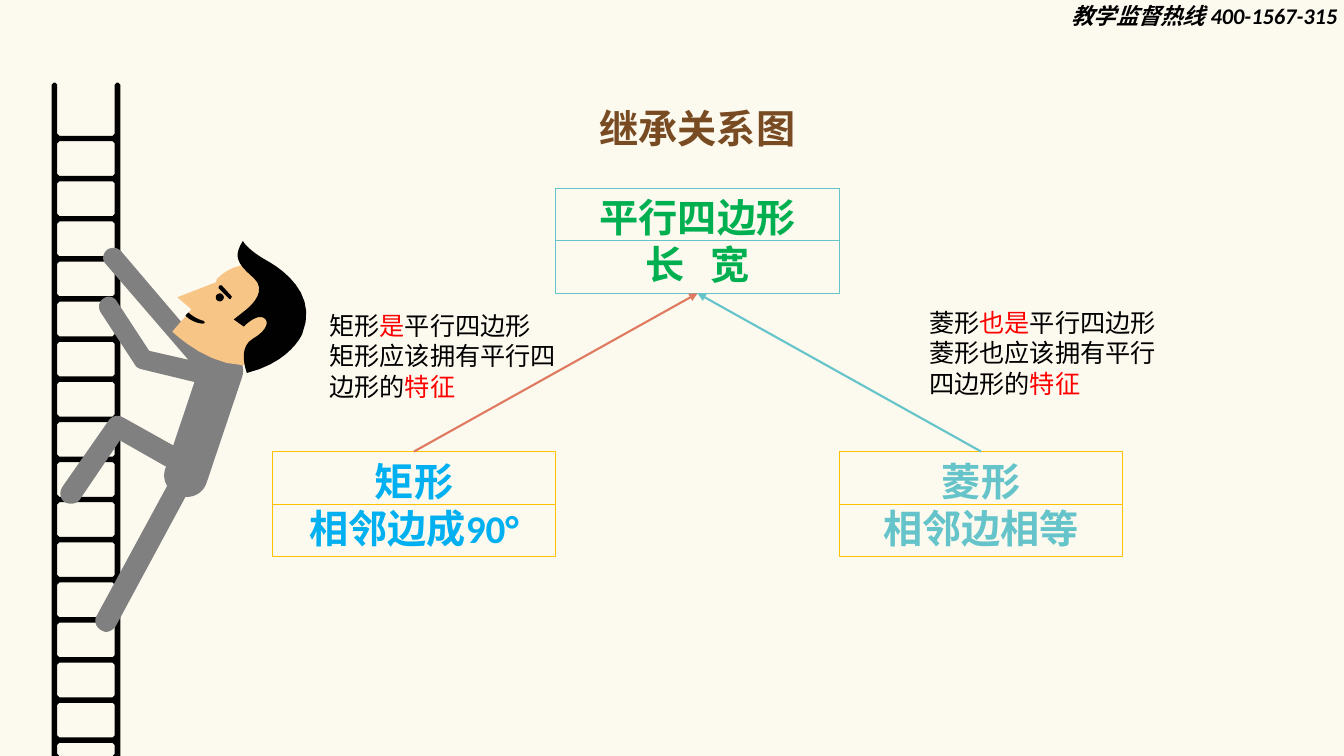
"""Builds the slide on the inheritance relation of quadrilaterals, with a ladder climber."""
from lxml import etree
from pptx import Presentation
from pptx.dml.color import RGBColor
from pptx.enum.shapes import MSO_CONNECTOR as CONN, MSO_SHAPE as SHAPE
from pptx.enum.text import MSO_ANCHOR as ANCHOR, PP_ALIGN as ALIGN
from pptx.oxml.ns import qn
from pptx.util import Pt

CREAM = RGBColor(0xFC, 0xF9, 0xEF)
BLACK = RGBColor(0, 0, 0)
INK = RGBColor(1, 1, 1)
GREY = RGBColor(0x80, 0x80, 0x80)
SKIN = RGBColor(0xF7, 0xC5, 0x86)
BROWN = RGBColor(0x78, 0x4B, 0x23)
GREEN = RGBColor(0, 0xB0, 0x50)
BLUE = RGBColor(0, 0xB0, 0xF0)
TEAL = RGBColor(0x65, 0xC4, 0xCA)
AMBER = RGBColor(0xFF, 0xC0, 0)
CORAL = RGBColor(0xDF, 0x7A, 0x60)
RED = RGBColor(0xFF, 0, 0)
LATIN, CJK = "Calibri", "Noto Sans CJK SC"

WIDTH, HEIGHT = 960, 540
HOTLINE = "教学监督热线 400-1567-315"
TITLE = "继承关系图"
WORD_GAP = 12.6

BOX_W, BOX_H = 202.5, 75
PARENT_X, PARENT_Y, CHILD_Y = 397, 134.5, 322.5
PARENT = ([["平行四边形"], ["长", " ", "宽"]], GREEN, TEAL)
CHILDREN = [
    (-1, [["矩形"], ["相邻边成90°"]], BLUE, CORAL),
    (1, [["菱形"], ["相邻边相等"]], TEAL, TEAL),
]
NOTES = [
    (228.2, 218.2, [["矩形", "是", "平行四边形"], ["矩形应该拥有平行四边形的", "特征"]]),
    (656.6, 216, [["菱形", "也是", "平行四边形"], ["菱形也应该拥有平行四边形的", "特征"]]),
]

LADDER_L, LADDER_R, LADDER_TOP, RAIL = 36.9, 86, 59, 4
FIRST_RUNG, RUNG, RUNG_PITCH, CORNER = 97, 3.9, 28.65, 1.5

BODY = [
    (162.7, 249.8), (157.7, 248.4, 152.6, 249.8, 148.3, 252), (86.4, 179.3),
    (83.5, 176.4, 79.2, 176.4, 76.3, 178.6), (73.4, 181.4, 72.7, 185.8, 75.6, 188.6),
    (134.6, 257), (106.6, 250.6), (83.5, 215.3), (81.4, 211.7, 77, 211, 74.2, 213.1),
    (70.6, 215.3, 69.8, 219.6, 72, 223.2), (96.5, 260.6),
    (97.2, 262.1, 98.6, 262.8, 100.1, 263.5), (139, 272.9), (123.8, 318.2),
    (87.8, 298.1), (84.2, 295.9, 79.9, 297.4, 77.8, 300.2), (44.6, 347.8),
    (42.5, 351.4, 42.5, 355.7, 46.1, 358.6), (49.7, 360.7, 54.7, 360, 56.9, 357.1),
    (85.7, 314.6), (118.8, 333.4), (118.1, 334.8),
    (116.6, 339.1, 117.4, 344.2, 119.5, 347), (69.1, 439.9),
    (67, 443.5, 68.4, 447.8, 72, 450), (73.4, 450.7, 74.9, 451.4, 75.6, 451.4),
    (78.5, 451.4, 81.4, 449.3, 82.8, 447.1), (132.5, 355), (133.2, 355),
    (139.7, 355, 145.4, 351.4, 147.6, 344.9), (172.8, 270),
    (175.7, 261.4, 171.4, 252.7, 162.7, 249.8),
]
FACE = [
    (152.6, 202.3), (153.4, 202.3), (154.1, 201.6, 154.8, 200.9, 154.8, 199.4),
    (167, 186.5, 187.9, 185, 200.9, 197.3), (217.4, 212.4, 218.2, 231.8, 205.9, 245.5),
    (171.4, 284.4, 123.1, 236.9, 123.1, 236.9), (136.8, 221), (126.7, 212.4),
]
HAIR = [
    (174.2, 222.5), (174.2, 222.5, 193, 209.5, 181.4, 198.7),
    (169.9, 188.6, 166.3, 183.6, 173.5, 172.1), (173.5, 172.1, 176.4, 177.8, 188.6, 185),
    (200.9, 191.5, 227.5, 209.5, 216, 238.3), (216, 238.3, 208.1, 258.5, 176.4, 266.4),
    (176.4, 266.4, 169.2, 248.4, 180.7, 241.9), (190.8, 236.2, 193, 229, 187.9, 226.8),
    (182.2, 224.6, 174.2, 233.3, 174.2, 233.3), (167, 228.2),
]
BROW = [
    (157, 203.8), (156.2, 204.5, 156.2, 205.2, 156.2, 205.9), (163.4, 213.1),
    (164.2, 213.8, 164.9, 213.8, 164.9, 213.1), (165.6, 212.4, 165.6, 211.7, 165.6, 211.7),
    (158.4, 203.8),
]
MOUTH = [
    (146.2, 230.4), (146.2, 229.7, 145.4, 229, 144.7, 229),
    (139.7, 227.5, 136.1, 224.6, 134.6, 223.2), (132.5, 225.4), (133.2, 226.1),
    (135.4, 228.2, 139, 230.4, 144, 231.1), (145.4, 231.1, 146.2, 231.1, 146.2, 230.4),
]
CLIMBER = [(BODY, GREY), (FACE, SKIN), (HAIR, INK), (BROW, INK), (MOUTH, INK)]
EYE = (154.1, 209.5, 5.8)


def flatten(outline, steps=10):
    points = [outline[0]]
    for part in outline[1:]:
        if len(part) == 2:
            points.append(part)
            continue
        ctrl = [points[-1], part[:2], part[2:4], part[4:]]
        for t in (i / steps for i in range(1, steps + 1)):
            weights = ((1 - t) ** 3, 3 * t * (1 - t) ** 2, 3 * t * t * (1 - t), t ** 3)
            points.append(tuple(sum(w * c[k] for w, c in zip(weights, ctrl)) for k in (0, 1)))
    return points


def paint(sp, color):
    sp.shadow.inherit = False
    sp.fill.solid()
    sp.fill.fore_color.rgb = color
    sp.line.fill.background()


def add_outline(contours, color):
    emu = [[(Pt(x), Pt(y)) for x, y in contour] for contour in contours]
    builder = shapes.build_freeform(*emu[0][0], scale=1.0)
    builder.add_line_segments(emu[0][1:])
    for hole in emu[1:]:
        builder.move_to(*hole[0])
        builder.add_line_segments(hole[1:])
    paint(builder.convert_to_shape(), color)


def add_ladder():
    inner_l, inner_r, c = LADDER_L + RAIL, LADDER_R - RAIL, CORNER
    contours = [[(LADDER_L, HEIGHT), (LADDER_L, LADDER_TOP + c), (LADDER_L + c, LADDER_TOP),
                 (inner_l - c, LADDER_TOP), (inner_l, LADDER_TOP + c), (inner_l, FIRST_RUNG - c),
                 (inner_l + c, FIRST_RUNG), (inner_r - c, FIRST_RUNG), (inner_r, FIRST_RUNG - c),
                 (inner_r, LADDER_TOP + c), (inner_r + c, LADDER_TOP),
                 (LADDER_R - c, LADDER_TOP), (LADDER_R, LADDER_TOP + c), (LADDER_R, HEIGHT)]]
    top = FIRST_RUNG + RUNG
    while top < HEIGHT:
        low = min(top + RUNG_PITCH - RUNG, HEIGHT)
        contours.append([(inner_l, low - c), (inner_l, top + c), (inner_l + c, top),
                         (inner_r - c, top), (inner_r, top + c), (inner_r, low - c),
                         (inner_r - c, low), (inner_l + c, low)])
        top += RUNG_PITCH
    add_outline(contours, INK)


def write(sp, lines, colors, size, bold=False, italic=False, align=ALIGN.LEFT, font=LATIN):
    tf = sp.text_frame
    tf.word_wrap = True
    for i, line in enumerate(lines):
        p = tf.add_paragraph() if i else tf.paragraphs[0]
        p.alignment = align
        for j, text in enumerate(line):
            r = p.add_run()
            r.text = text
            r.font.size, r.font.bold, r.font.italic = Pt(size), bold, italic
            r.font.color.rgb = colors[j % len(colors)]
            r.font.name = font
            rpr = r.font._element
            etree.SubElement(rpr, qn("a:ea")).set("typeface", CJK)
            if text == " ":
                rpr.set("spc", str(round(WORD_GAP * 100)))
    return tf


def add_text(x, y, w, h, *args, **style):
    return write(shapes.add_textbox(Pt(x), Pt(y), Pt(w), Pt(h)), *args, **style)


def add_line(x1, y1, x2, y2, color, width):
    line = shapes.add_connector(CONN.STRAIGHT, Pt(x1), Pt(y1), Pt(x2), Pt(y2))
    line.line.color.rgb, line.line.width = color, Pt(width)
    etree.SubElement(line._element.spPr, qn("a:effectLst"))
    return line


def add_class(x, y, lines, color, border):
    sp = shapes.add_shape(SHAPE.RECTANGLE, Pt(x), Pt(y), Pt(BOX_W), Pt(BOX_H))
    sp.shadow.inherit = False
    sp.fill.background()
    sp.line.color.rgb, sp.line.width = border, Pt(0.75)
    tf = write(sp, lines, [color], 28, bold=True, align=ALIGN.CENTER)
    tf.vertical_anchor = ANCHOR.MIDDLE
    add_line(x, y + BOX_H / 2, x + BOX_W, y + BOX_H / 2, border, 0.5)
    return sp


prs = Presentation()
prs.slide_width, prs.slide_height = Pt(WIDTH), Pt(HEIGHT)
slide = prs.slides.add_slide(prs.slide_layouts[6])
slide.background.fill.solid()
slide.background.fill.fore_color.rgb = CREAM
shapes = slide.shapes

hotline = add_text(758.2, 0, 207.4, 28, [[HOTLINE]], [BLACK], 16, bold=True, italic=True)
hotline.paragraphs[0].line_spacing = 0.9
add_ladder()
for outline, color in CLIMBER:
    add_outline([flatten(outline)], color)
eye_x, eye_y, eye_d = EYE
paint(shapes.add_shape(SHAPE.OVAL, Pt(eye_x), Pt(eye_y), Pt(eye_d), Pt(eye_d)), INK)

add_text(339.8, 71.3, 316.8, 41, [[TITLE]], [BROWN], 28, bold=True, align=ALIGN.CENTER, font=CJK)
parent = add_class(PARENT_X, PARENT_Y, *PARENT)
for side, lines, color, arrow_color in CHILDREN:
    child = add_class(PARENT_X + side * BOX_W, CHILD_Y, lines, color, AMBER)
    arrow = add_line(0, 0, 1, 1, arrow_color, 1.5)
    arrow.begin_connect(child, 0)
    arrow.end_connect(parent, 2)
    etree.SubElement(arrow.line._get_or_add_ln(), qn("a:tailEnd")).set("type", "triangle")
for x, y, lines in NOTES:
    add_text(x, y, 177, 72.7, lines, [BLACK, RED], 18)

prs.save("out.pptx")
